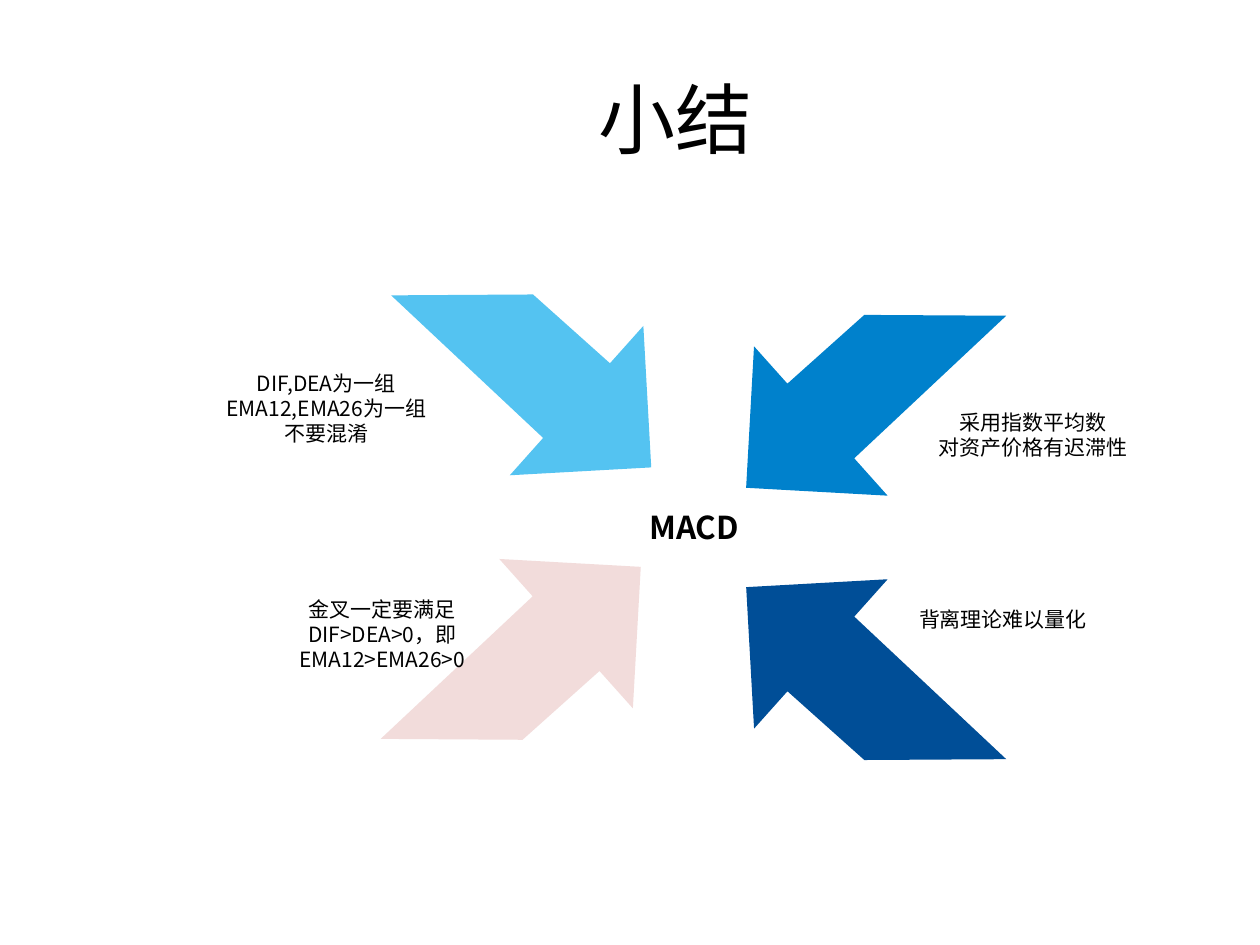
from lxml import etree
from pptx import Presentation
from pptx import util as u
from pptx.dml.color import RGBColor
from pptx.enum import text
from pptx.oxml.ns import qn

CJK_FONT = "Noto Sans CJK SC"


def write_lines(frame, lines, latin, size, bold=False):
    for i, line in enumerate(lines):
        paragraph = frame.paragraphs[0] if i == 0 else frame.add_paragraph()
        paragraph.alignment = text.PP_ALIGN.CENTER
        run = paragraph.add_run()
        run.text = line
        font_format = {"name": latin, "size": u.Pt(size), "bold": bold}
        for attribute, value in font_format.items():
            setattr(run.font, attribute, value)
        run.font.color.rgb = RGBColor.from_string("000000")
        east_asian = etree.SubElement(run.font._element, qn("a:ea"))
        east_asian.set("typeface", CJK_FONT)


prs = Presentation()
prs.slide_width, prs.slide_height = u.Cm(25.4), u.Cm(19.05)
slide = prs.slides.add_slide(prs.slide_layouts[5])

heading = slide.shapes.title
heading_place = {"left": 2.18, "top": 0.79, "width": 22.86, "height": 3.18}
for side, length in heading_place.items():
    setattr(heading, side, u.Cm(length))
heading.text_frame.vertical_anchor = text.MSO_ANCHOR.MIDDLE
write_lines(heading.text_frame, ["小结"], "Calibri", 44)

# Arrow pointing left with a slanted tail, in cm from its centre;
# each arrow is a mirror image of it, tilted towards the middle.
TILT = 41.8
arrow_outline = [(-3.11, 0), (-1.09, -2.02), (-1.09, -1.01), (0.99, -1.01),
                 (3.11, 0.91), (-1.09, 1.01), (-1.09, 2.02)]
arrows = [  # centre x, centre y, horizontal flip, vertical flip, colour
    (17.36, 7.76, 1, 1, "0081CC"),
    (10.6, 13.5, -1, -1, "F2DCDB"),
    (17.36, 13.91, 1, -1, "004E97"),
    (10.81, 7.35, -1, 1, "54C3F1"),
]
for centre_x, centre_y, flip_x, flip_y, colour in arrows:
    corners = [(u.Cm(centre_x + flip_x * x), u.Cm(centre_y + flip_y * y))
               for x, y in arrow_outline]
    builder = slide.shapes.build_freeform(*corners[0])
    builder.add_line_segments(corners[1:], close=True)
    arrow = builder.convert_to_shape()
    arrow.rotation = -flip_x * flip_y * TILT
    arrow.shadow.inherit = False
    arrow.fill.solid()
    arrow.fill.fore_color.rgb = RGBColor.from_string(colour)
    arrow.line.fill.background()

captions = [  # left, top, width, height, size, bold, lines
    (18.64, 8.13, 4.37, 1.27, 12, False, ["采用指数平均数", "对资产价格有迟滞性"]),
    (12.7, 10.11, 2.59, 1.02, 18, True, ["MACD"]),
    (18.25, 12.1, 3.94, 0.76, 12, False, ["背离理论难以量化"]),
    (5.55, 11.9, 4.32, 1.8, 12, False,
     ["金叉一定要满足", "DIF>DEA>0，即", "EMA12>EMA26>0"]),
    (4.18, 7.34, 4.8, 1.8, 12, False,
     ["DIF,DEA为一组", "EMA12,EMA26为一组", "不要混淆"]),
]
for *place, size, bold, lines in captions:
    caption = slide.shapes.add_textbox(*map(u.Cm, place)).text_frame
    caption.word_wrap = False
    caption.auto_size = text.MSO_AUTO_SIZE.SHAPE_TO_FIT_TEXT
    write_lines(caption, lines, CJK_FONT, size, bold)

prs.save("out.pptx")
